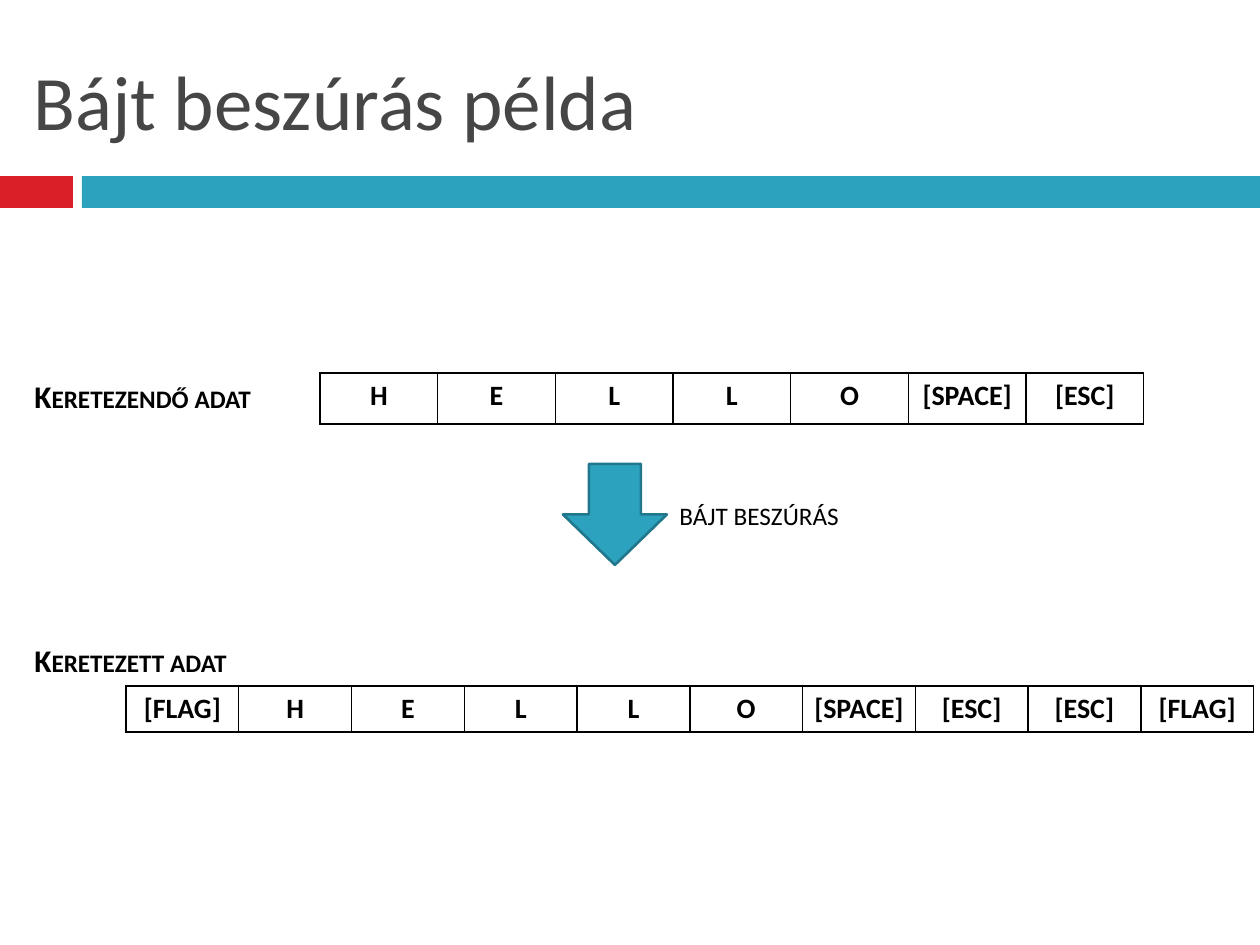
from lxml.etree import SubElement
from pptx import Presentation
from pptx.dml.color import RGBColor
from pptx.enum.shapes import MSO_SHAPE as Shape
from pptx.enum.text import MSO_ANCHOR as Anchor, MSO_AUTO_SIZE as AutoSize, PP_ALIGN as Align
from pptx.oxml.ns import qn
from pptx.util import Emu, Pt

EMU_PER_PX = 914400 // 126
FONT = "Calibri"
COLORS = {
    "title": "464646",
    "text": "000000",
    "red": "DA1F28",
    "teal": "2DA2BF",
    "teal_edge": "21788D",
}


def px(length):
    return Emu(round(length * EMU_PER_PX))


def color(name):
    return RGBColor.from_string(COLORS[name])


def add_run(paragraph, text, size, color_name="text", bold=False, small_caps=False):
    run = paragraph.add_run()
    run.text = text
    run.font.name = FONT
    run.font.size = Pt(size)
    run.font.bold = bold
    run.font.color.rgb = color(color_name)
    if small_caps:
        run.font._element.set("cap", "small")


def set_title(slide, text, left, top, width, height):
    title = slide.shapes.title
    title.left, title.top, title.width, title.height = map(px, (left, top, width, height))
    frame = title.text_frame
    frame.word_wrap = True
    frame.vertical_anchor = Anchor.MIDDLE
    paragraph = frame.paragraphs[0]
    paragraph.alignment = Align.LEFT
    add_run(paragraph, text, 44, "title")


def add_filled_shape(slide, kind, left, top, width, height, fill, edge=None):
    shape = slide.shapes.add_shape(kind, *map(px, (left, top, width, height)))
    shape.shadow.inherit = False
    shape.fill.solid()
    shape.fill.fore_color.rgb = color(fill)
    if edge:
        shape.line.color.rgb = color(edge)
        shape.line.width = Pt(1.5)
    else:
        shape.line.fill.background()


def add_label(slide, text, left, top, width, bold=False):
    box = slide.shapes.add_textbox(*map(px, (left, top, width, 51)))
    frame = box.text_frame
    frame.word_wrap = False
    frame.auto_size = AutoSize.SHAPE_TO_FIT_TEXT
    add_run(frame.paragraphs[0], text, 18, bold=bold, small_caps=True)


def set_cell_borders(cell):
    properties = cell._tc.get_or_add_tcPr()
    for position, side in enumerate(("lnL", "lnR", "lnT", "lnB")):
        line = SubElement(properties, qn(f"a:{side}"), w=str(Pt(1)))
        fill = SubElement(line, qn("a:solidFill"))
        SubElement(fill, qn("a:srgbClr"), val=COLORS["text"])
        properties.insert(position, line)  # borders precede the cell fill


def add_byte_row(slide, values, left, top, width, height):
    """Add a one-row table with equal columns, one byte in each cell."""
    frame = slide.shapes.add_table(1, len(values), *map(px, (left, top, width, height)))
    table = frame.table
    table.first_row = False
    table.horz_banding = False
    for column, value in zip(table.columns, values):
        column.width = px(width / len(values))
    for cell, value in zip(table.rows[0].cells, values):
        cell.margin_left = cell.margin_right = px(9)
        cell.margin_top = cell.margin_bottom = px(6)
        cell.fill.background()
        set_cell_borders(cell)
        paragraph = cell.text_frame.paragraphs[0]
        paragraph.alignment = Align.CENTER
        add_run(paragraph, value, 16, bold=True)


def main():
    presentation = Presentation()
    presentation.slide_width = px(1260)
    presentation.slide_height = px(945)
    slide = presentation.slides.add_slide(presentation.slide_layouts[5])

    add_filled_shape(slide, Shape.RECTANGLE, 0, 176, 73, 32, "red")
    add_filled_shape(slide, Shape.RECTANGLE, 82, 176, 1178, 32, "teal")
    set_title(slide, "Bájt beszúrás példa", 21, 32, 1218, 136)

    data = [*"HELLO", "[SPACE]", "[ESC]"]
    framed_data = ["[FLAG]", *data, "[ESC]", "[FLAG]"]
    add_byte_row(slide, data, 320, 373, 824, 51)
    add_byte_row(slide, framed_data, 126, 686, 1128, 46)

    add_label(slide, "Keretezendő adat", 22, 371, 257, bold=True)
    add_label(slide, "Keretezett adat", 22, 635, 228, bold=True)
    add_filled_shape(slide, Shape.DOWN_ARROW, 563, 464, 104, 101, "teal", "teal_edge")
    add_label(slide, "bájt beszúrás", 667, 488, 189)

    presentation.save("out.pptx")


if __name__ == "__main__":
    main()
